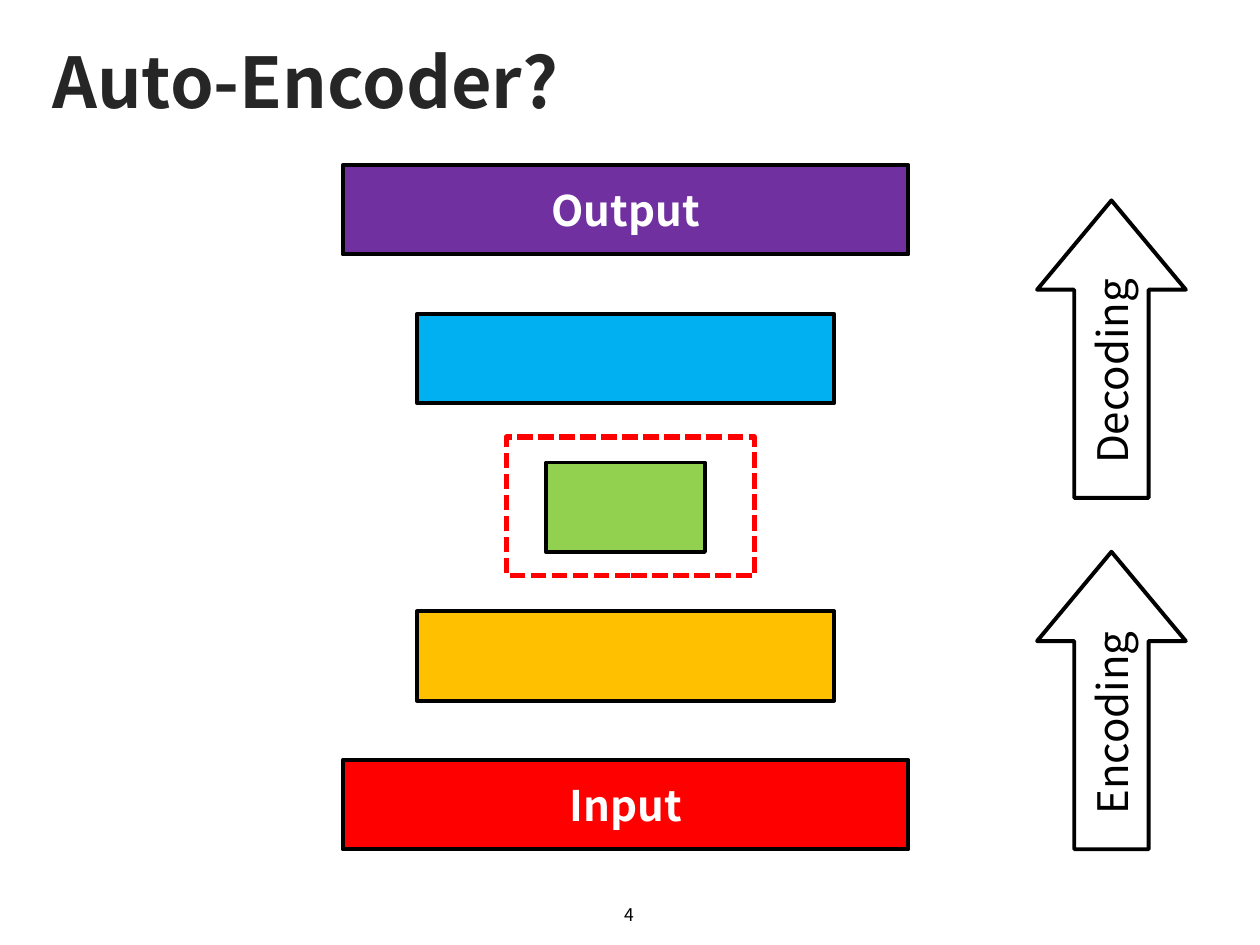
from dataclasses import dataclass

from pptx import Presentation
from pptx.dml.color import RGBColor
from pptx.enum.dml import MSO_LINE
from pptx.enum.shapes import MSO_SHAPE
from pptx.enum.text import MSO_ANCHOR, MSO_AUTO_SIZE, PP_ALIGN
from pptx.util import Pt

RECTANGLE, ARROW = MSO_SHAPE.RECTANGLE, MSO_SHAPE.RIGHT_ARROW
LEFT, CENTER = PP_ALIGN.LEFT, PP_ALIGN.CENTER
MIDDLE = MSO_ANCHOR.MIDDLE
NO_AUTOFIT = MSO_AUTO_SIZE.NONE
DASH = MSO_LINE.SQUARE_DOT

TITLE = "Auto-Encoder?"
PAGE_NUMBER = "4"
LAYERS = [
    ("Output", 323.3, "7030A0"),
    ("", 238.3, "00B0F0"),
    ("", 90.7, "92D050"),
    ("", 238.3, "FFC000"),
    ("Input", 323.3, "FF0000"),
]
STAGES = [("Decoding", 157), ("Encoding", 357.8)]


@dataclass(frozen=True)
class Theme:
    font: str = "Noto Sans CJK KR"
    title: str = "262626"
    ink: str = "000000"
    on_layer: str = "FFFFFF"
    highlight: str = "FF0000"
    title_size: float = 40
    label_size: float = 24
    page_size: float = 10
    outline: float = 2.25
    highlight_outline: float = 3


THEME = Theme()
LAYER_CENTER, LAYER_TOP = 357.5, 94.3
LAYER_HEIGHT, LAYER_PITCH = 51.1, 85
CODE_FRAME = (289.4, 249.8, 141.8, 79.2)
ARROW_LEFT, ARROW_LENGTH, ARROW_WIDTH = 550.1, 170, 85


def write(box, text, size, color, bold=False, align=CENTER):
    frame = box.text_frame
    frame.text = text
    frame.word_wrap = True
    frame.auto_size = NO_AUTOFIT
    frame.vertical_anchor = MIDDLE
    paragraph = frame.paragraphs[0]
    paragraph.alignment = align
    font = paragraph.font
    font.name, font.size, font.bold = THEME.font, Pt(size), bold
    font.color.rgb = RGBColor.from_string(color)


def add_outlined(slide, kind, place, line=THEME.ink, width=THEME.outline, fill=None):
    outlined = slide.shapes.add_shape(kind, *map(Pt, place))
    outlined.shadow.inherit = False
    if fill:
        outlined.fill.solid()
        outlined.fill.fore_color.rgb = RGBColor.from_string(fill)
    else:
        outlined.fill.background()
    outlined.line.color.rgb = RGBColor.from_string(line)
    outlined.line.width = Pt(width)
    return outlined


def main():
    deck = Presentation()
    deck.slide_width, deck.slide_height = Pt(720), Pt(540)
    slide = deck.slides.add_slide(deck.slide_layouts[5])

    heading = slide.shapes.title
    heading.left, heading.top = Pt(23), Pt(20.2)
    heading.width, heading.height = Pt(675.4), Pt(51.8)
    write(heading, TITLE, THEME.title_size, THEME.title, True, LEFT)

    page = slide.shapes.add_textbox(Pt(275.8), Pt(508.3), Pt(167.8), Pt(28.8))
    write(page, PAGE_NUMBER, THEME.page_size, THEME.ink)

    for row, (name, width, color) in enumerate(LAYERS):
        place = (LAYER_CENTER - width / 2, LAYER_TOP + row * LAYER_PITCH, width, LAYER_HEIGHT)
        layer = add_outlined(slide, RECTANGLE, place, fill=color)
        if name:
            write(layer, name, THEME.label_size, THEME.on_layer, True)

    code_frame = add_outlined(
        slide, RECTANGLE, CODE_FRAME, THEME.highlight, THEME.highlight_outline
    )
    code_frame.line.dash_style = DASH

    for name, top in STAGES:
        stage = add_outlined(slide, ARROW, (ARROW_LEFT, top, ARROW_LENGTH, ARROW_WIDTH))
        stage.rotation = 270
        stage.adjustments[0], stage.adjustments[1] = 0.5, 0.6
        write(stage, name, THEME.label_size, THEME.ink)

    deck.save("out.pptx")


if __name__ == "__main__":
    main()
